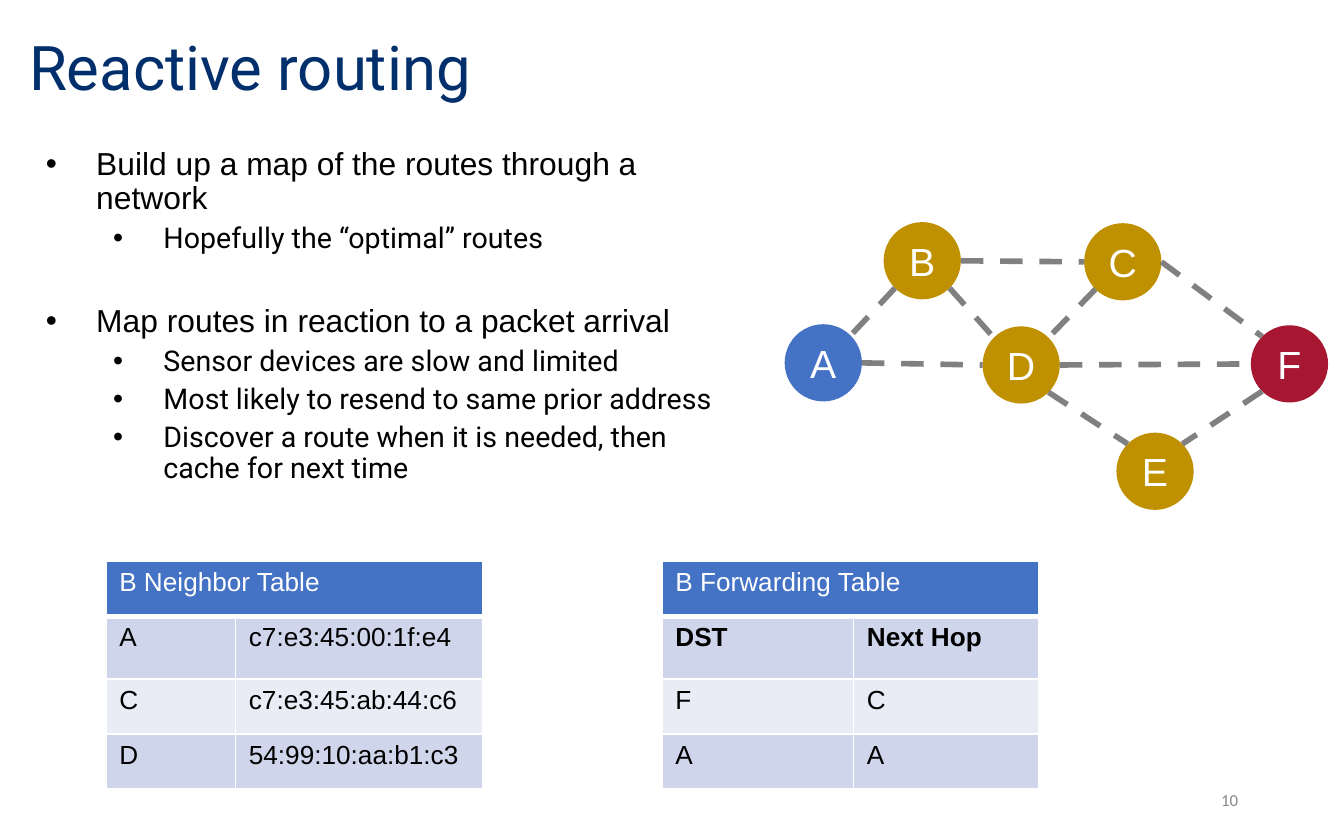
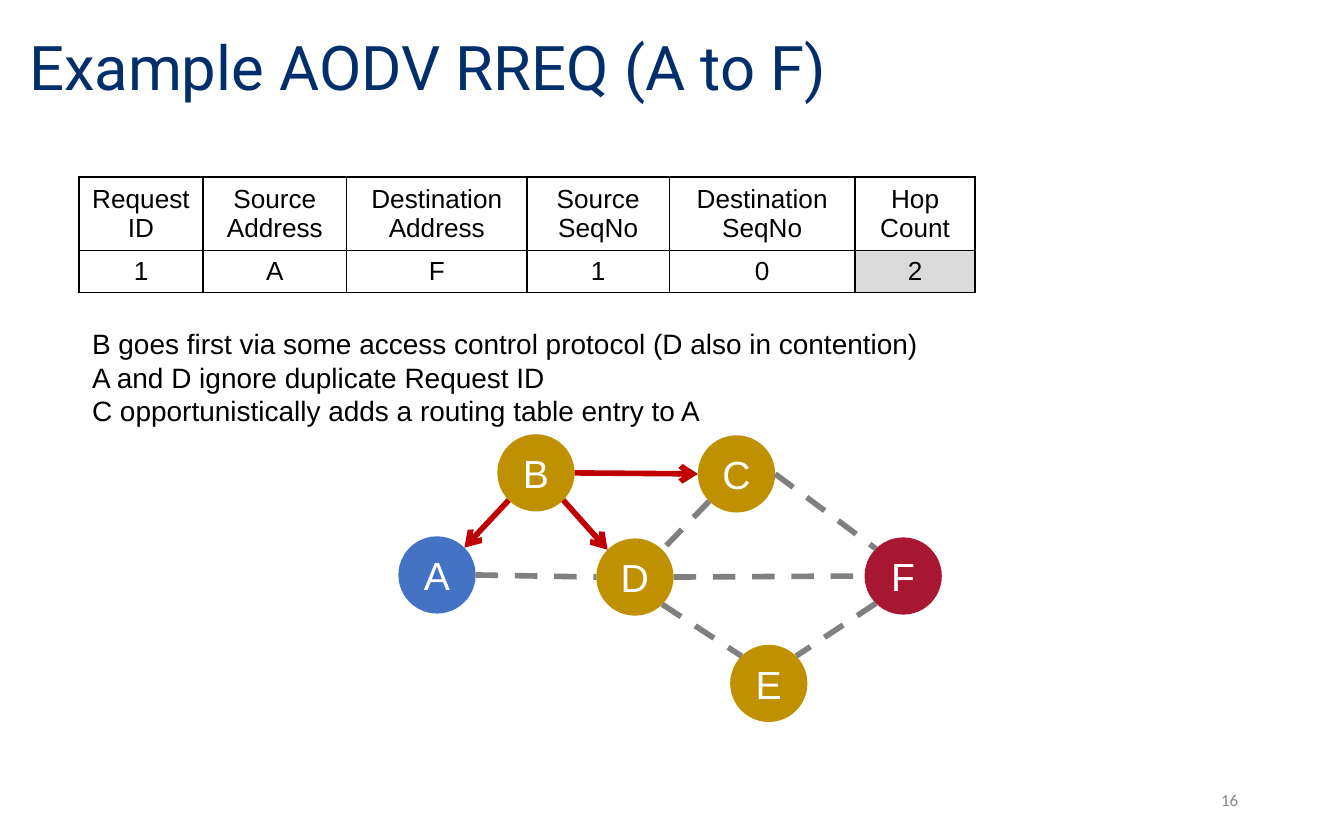
from math import cos, pi, sin

from lxml import etree
from pptx import Presentation
from pptx.dml.color import RGBColor
from pptx.enum.dml import MSO_LINE
from pptx.enum.shapes import MSO_CONNECTOR, MSO_SHAPE
from pptx.enum.text import MSO_ANCHOR, PP_ALIGN
from pptx.oxml.ns import qn
from pptx.util import Cm, Pt

STRAIGHT = MSO_CONNECTOR.STRAIGHT
OVAL = MSO_SHAPE.OVAL
DASH = MSO_LINE.DASH
TOP, MIDDLE = MSO_ANCHOR.TOP, MSO_ANCHOR.MIDDLE
LEFT, CENTER, RIGHT = PP_ALIGN.LEFT, PP_ALIGN.CENTER, PP_ALIGN.RIGHT

BLACK, WHITE, NAVY = "000000", "FFFFFF", "002F6C"
BLUE, GOLD, CRIMSON = "4472C4", "BF9000", "A71732"
LINK_GRAY, ARROW_RED, PAGE_GRAY = "808080", "C00000", "888888"
BAND_DARK, BAND_LIGHT, CHANGED = "CFD5EA", "E9EBF5", "DBDBDB"

RADIUS = 0.73
NODES = {
    "A": (0, 0, BLUE),
    "B": (1.87, -1.93, GOLD),
    "C": (5.66, -1.91, GOLD),
    "D": (3.74, 0.04, GOLD),
    "E": (6.27, 2.05, GOLD),
    "F": (8.81, 0.02, CRIMSON),
}
SIDES = {"right": 0, "lower right": 1, "lower left": 3,
         "left": 4, "upper left": 5, "upper right": 7}
LINKS = [
    ("B", "lower left", "A", "upper right"),
    ("B", "right", "C", "left"),
    ("B", "lower right", "D", "upper left"),
    ("C", "lower left", "D", "upper right"),
    ("C", "right", "F", "upper left"),
    ("D", "right", "F", "left"),
    ("D", "lower right", "E", "upper left"),
    ("F", "lower left", "E", "upper right"),
    ("A", "right", "D", "left"),
]


def rgb(value):
    return RGBColor.from_string(value)


def sub(parent, tag, **attrs):
    return etree.SubElement(parent, qn(tag), attrs)


class Deck:
    def __init__(self):
        self.prs = Presentation()
        self.prs.slide_width, self.prs.slide_height = Cm(25.4), Cm(15.88)

    def slide(self, title, number):
        self.s = self.prs.slides.add_slide(self.prs.slide_layouts[6])
        tf = self.text(0.3, 0.25, 21.64, 2.18, [title], 33, "Roboto", NAVY, anchor=MIDDLE)
        tf.paragraphs[0].line_spacing = 0.9
        self.text(17.93, 14.71, 5.72, 0.84, [number], 9, "Calibri", PAGE_GRAY, RIGHT, MIDDLE)

    def font(self, p, size, name, color, bold=False):
        p.font.size, p.font.name, p.font.bold = Pt(size), name, bold
        p.font.color.rgb = rgb(color)

    def text(self, x, y, w, h, lines, size, name, color, align=LEFT, anchor=TOP):
        tf = self.s.shapes.add_textbox(Cm(x), Cm(y), Cm(w), Cm(h)).text_frame
        tf.word_wrap, tf.vertical_anchor = True, anchor
        tf.text = "\n".join(lines)
        for p in tf.paragraphs:
            p.alignment = align
            self.font(p, size, name, color)
        return tf

    def bullets(self, x, y, w, h, items):
        tf = self.s.shapes.add_textbox(Cm(x), Cm(y), Cm(w), Cm(h)).text_frame
        tf.word_wrap = True
        tf.text = "\n".join(line for _, _, line in items)
        for p, (level, before, _) in zip(tf.paragraphs, items):
            p.level = level
            pPr = p._p.get_or_add_pPr()
            pPr.set("marL", str(Cm(1.27 * (level + 1))))
            pPr.set("indent", str(Cm(-0.95)))
            sub(sub(pPr, "a:buClr"), "a:srgbClr", val=BLACK)
            sub(pPr, "a:buFont", typeface="Arial")
            sub(pPr, "a:buChar", char="•")
            p.line_spacing, p.space_before = 0.9, Pt(before)
            self.font(p, *((15.3, "Roboto") if level else (17, "Arial")), BLACK)

    def node(self, cx, cy, name, color):
        sp = self.s.shapes.add_shape(
            OVAL, Cm(cx - RADIUS), Cm(cy - RADIUS), Cm(2 * RADIUS), Cm(2 * RADIUS))
        sp.shadow.inherit = False
        sp.fill.solid()
        sp.fill.fore_color.rgb = rgb(color)
        sp.line.fill.background()
        tf = sp.text_frame
        tf.margin_left = tf.margin_right = tf.margin_top = tf.margin_bottom = 0
        tf.vertical_anchor = MIDDLE
        p = tf.paragraphs[0]
        p.text, p.alignment = name, CENTER
        self.font(p, 21, "Arial", WHITE)

    def link(self, start, end, arrow):
        cn = self.s.shapes.add_connector(STRAIGHT, *map(Cm, start + end))
        cn.line.width = Pt(3)
        cn.line.color.rgb = rgb(ARROW_RED if arrow else LINK_GRAY)
        spPr = cn.element.spPr
        if arrow:
            sub(spPr.find(qn("a:ln")), "a:tailEnd", type="arrow")
        else:
            cn.line.dash_style = DASH
        sub(spPr, "a:effectLst")

    def network(self, x, y, sender=None):
        def port(name, side):
            dx, dy, _ = NODES[name]
            angle = SIDES[side] * pi / 4
            return x + dx + RADIUS * cos(angle), y + dy + RADIUS * sin(angle)

        for name, (dx, dy, color) in NODES.items():
            self.node(x + dx, y + dy, name, color)
        for source, out, target, into in LINKS:
            self.link(port(source, out), port(target, into), source == sender)

    def cell(self, cell, text, fill, color, rule, bottom, align, bold):
        tcPr = cell._tc.get_or_add_tcPr()
        for side in "LRTB":
            width = bottom if side == "B" else 1
            ln = sub(tcPr, f"a:ln{side}", w=str(Pt(width)))
            sub(sub(ln, "a:solidFill"), "a:srgbClr", val=rule)
        if fill:
            cell.fill.solid()
            cell.fill.fore_color.rgb = rgb(fill)
        else:
            cell.fill.background()
        if align == CENTER:
            cell.vertical_anchor = MIDDLE
            cell.margin_left = cell.margin_right = Cm(0.18)
            cell.margin_top = cell.margin_bottom = Cm(0.1)
        cell.text = text
        for p in cell.text_frame.paragraphs:
            p.alignment = align
            self.font(p, 14, "Arial", color, bold)

    def table(self, x, y, widths, heights):
        table = self.s.shapes.add_table(
            len(heights), len(widths), Cm(x), Cm(y),
            Cm(sum(widths)), Cm(sum(heights))).table
        table.first_row = table.horz_banding = False
        for column, width in zip(table.columns, widths):
            column.width = Cm(width)
        for row, height in zip(table.rows, heights):
            row.height = Cm(height)
        return table

    def banded_table(self, x, widths, title, rows, bold_first=False):
        table = self.table(x, 10.61, widths, [1.04, 1.19, 1.04, 1.04])
        table.cell(0, 0).merge(table.cell(0, 1))
        for c, text in enumerate([title, ""]):
            self.cell(table.cell(0, c), text, BLUE, WHITE, WHITE, 3, LEFT, False)
        for r, row in enumerate(rows, 1):
            fill = BAND_DARK if r % 2 else BAND_LIGHT
            for c, text in enumerate(row):
                self.cell(table.cell(r, c), text, fill, BLACK, WHITE, 1, LEFT,
                          bold_first and r == 1)

    def packet_table(self, x, y, widths, heights, rows, changed):
        table = self.table(x, y, widths, heights)
        for r, row in enumerate(rows):
            for c, text in enumerate(row):
                fill = CHANGED if (r, c) == changed else None
                self.cell(table.cell(r, c), text, fill, BLACK, BLACK, 1, CENTER, False)


def main():
    deck = Deck()

    deck.slide("Reactive routing", "10")
    deck.bullets(0.3, 2.67, 14.12, 7.34, [
        (0, 0, "Build up a map of the routes through a network"),
        (1, 3.8, "Hopefully the “optimal” routes"),
        (0, 27.5, "Map routes in reaction to a packet arrival"),
        (1, 3.8, "Sensor devices are slow and limited"),
        (1, 3.8, "Most likely to resend to same prior address"),
        (1, 3.8, "Discover a route when it is needed, then cache for next time"),
    ])
    deck.banded_table(2, [2.45, 4.68], "B Neighbor Table", [
        ("A", "c7:e3:45:00:1f:e4"),
        ("C", "c7:e3:45:ab:44:c6"),
        ("D", "54:99:10:aa:b1:c3"),
    ])
    deck.banded_table(12.51, [3.62, 3.51], "B Forwarding Table", [
        ("DST", "Next Hop"),
        ("F", "C"),
        ("A", "A"),
    ], bold_first=True)
    deck.network(15.56, 6.86)

    deck.slide("Example AODV RREQ (A to F)", "16")
    deck.network(8.26, 10.87, sender="B")
    deck.packet_table(1.49, 3.35, [2.35, 2.71, 3.41, 2.69, 3.51, 2.27], [1.33, 0.77], [
        ("Request ID", "Source Address", "Destination Address",
         "Source SeqNo", "Destination\vSeqNo", "Hop Count"),
        ("1", "A", "F", "1", "0", "2"),
    ], changed=(1, 5))
    deck.text(1.49, 6.05, 21.67, 2.18, [
        "B goes first via some access control protocol (D also in contention)",
        "A and D ignore duplicate Request ID\v"
        "C opportunistically adds a routing table entry to A",
    ], 15, "Arial", BLACK)

    deck.prs.save("out.pptx")


if __name__ == "__main__":
    main()
